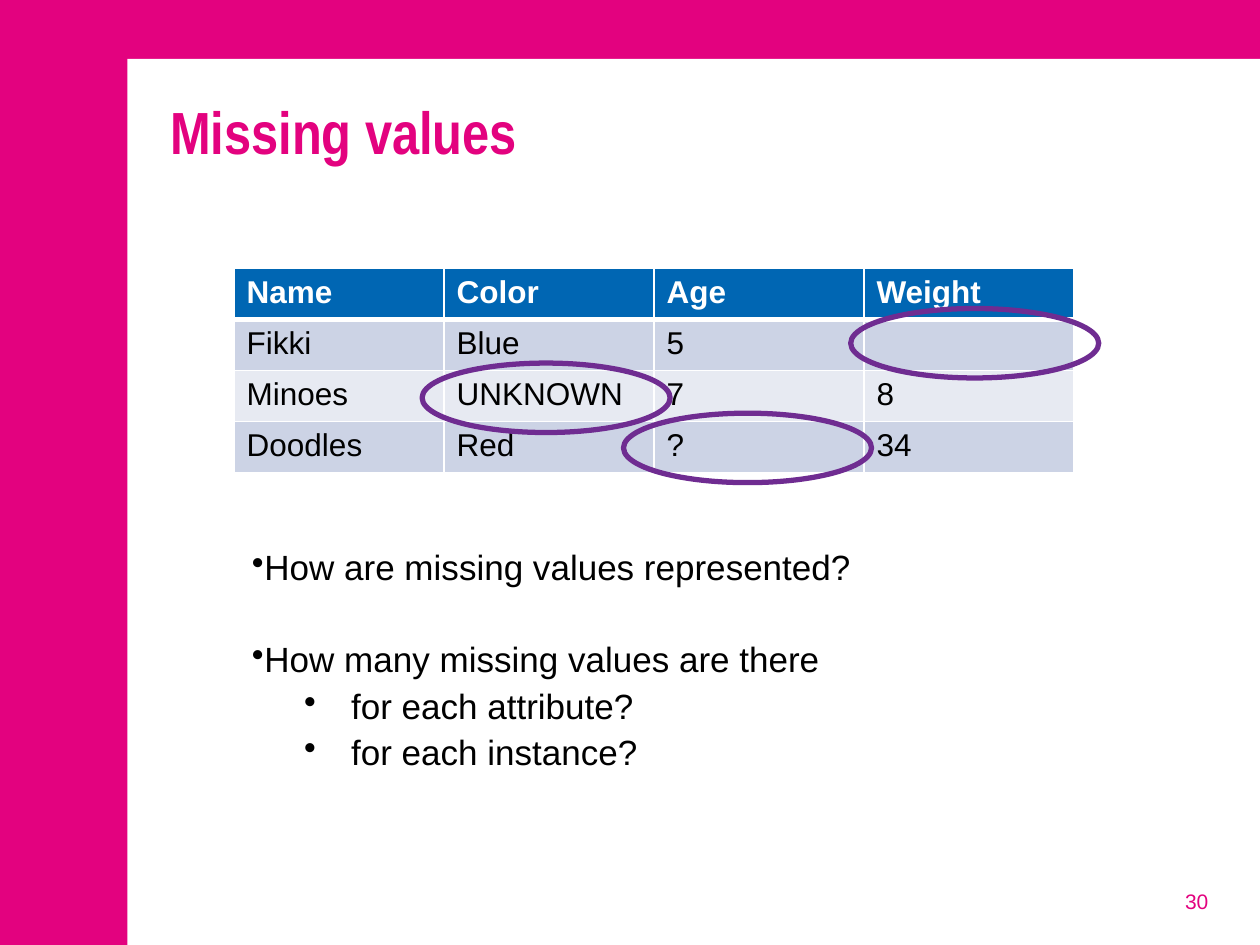
from dataclasses import dataclass

from lxml import etree
from pptx import Presentation
from pptx.dml.color import RGBColor
from pptx.enum import shapes, text
from pptx.oxml import ns
from pptx.util import Cm, Pt


@dataclass(frozen=True)
class Theme:
    pink: str = "E3027F"
    white: str = "FFFFFF"
    black: str = "000000"
    header: str = "0066B3"
    bands: tuple = ("CCD3E5", "E7EAF2")
    ring: str = "6F2C91"
    body_font: str = "Arial"
    title_font: str = "Arial Narrow"
    title_size: int = 34
    body_size: int = 20
    table_size: int = 18
    number_size: int = 12


theme = Theme()


def style(paragraph, size, color, name=theme.body_font, bold=False):
    font = paragraph.font
    font.size, font.name, font.bold = Pt(size), name, bold
    font.color.rgb = RGBColor.from_string(color)


def add_border(cell, side, width):
    properties = cell._tc.get_or_add_tcPr()
    line = etree.SubElement(properties, ns.qn(f"a:ln{side}"), w=str(Pt(width)))
    fill = etree.SubElement(line, ns.qn("a:solidFill"))
    etree.SubElement(fill, ns.qn("a:srgbClr"), val=theme.white)


prs = Presentation()
prs.slide_width, prs.slide_height = Cm(25.4), Cm(19.05)
slide = prs.slides.add_slide(prs.slide_layouts[5])
slide.background.fill.solid()
slide.background.fill.fore_color.rgb = RGBColor.from_string(theme.pink)

# White page, placed behind the title
page = slide.shapes.add_shape(
    shapes.MSO_SHAPE.RECTANGLE, Cm(2.57), Cm(1.19), Cm(22.83), Cm(17.86))
page.shadow.inherit = False
page.fill.solid()
page.fill.fore_color.rgb = RGBColor.from_string(theme.white)
page.line.fill.background()
title = slide.shapes.title
title._element.addprevious(page._element)

title.left, title.top, title.width, title.height = Cm(3.18), Cm(1.78), Cm(21.44), Cm(3.4)
title.text_frame.text = "Missing values"
title.text_frame.vertical_anchor = text.MSO_ANCHOR.TOP
title.text_frame.auto_size = text.MSO_AUTO_SIZE.NONE
heading = title.text_frame.paragraphs[0]
heading.alignment = text.PP_ALIGN.LEFT
style(heading, theme.title_size, theme.pink, theme.title_font, bold=True)

page_number = slide.shapes.add_textbox(Cm(18.69), Cm(17.65), Cm(5.92), Cm(1.02)).text_frame
page_number.word_wrap = True
page_number.vertical_anchor = text.MSO_ANCHOR.MIDDLE
page_number.text = "30"
page_number.paragraphs[0].alignment = text.PP_ALIGN.RIGHT
style(page_number.paragraphs[0], theme.number_size, theme.pink)

# Questions: wording, left margin (cm), hanging indent (cm), space before (pt)
questions = [
    ("How are missing values represented?", 0, 0, 0),
    ("How many missing values are there", 0, 0, 31),
    ("for each attribute?", 2, 0.95, 5),
    ("for each instance?", 2, 0.95, 5),
]
question_frame = slide.shapes.add_textbox(Cm(4.83), Cm(10.97), Cm(16.28), Cm(5.94)).text_frame
question_frame.word_wrap = True
for i, (question, margin, hanging, gap) in enumerate(questions):
    paragraph = question_frame.paragraphs[0] if i == 0 else question_frame.add_paragraph()
    paragraph.text = question
    properties = paragraph._p.get_or_add_pPr()
    properties.set("marL", str(Cm(margin)))
    properties.set("indent", str(-Cm(hanging)))
    etree.SubElement(properties, ns.qn("a:buChar"), char="•")
    paragraph.line_spacing = 0.9
    paragraph.space_before = Pt(gap)
    style(paragraph, theme.body_size, theme.black)

pets = [
    ("Name", "Color", "Age", "Weight"),
    ("Fikki", "Blue", "5", ""),
    ("Minoes", "UNKNOWN", "7", "8"),
    ("Doodles", "Red", "?", "34"),
]
pet_table = slide.shapes.add_table(
    len(pets), len(pets[0]), Cm(4.72), Cm(5.41), Cm(16.93), Cm(4.12)).table
for r, pet in enumerate(pets):
    is_header = r == 0
    for c, value in enumerate(pet):
        cell = pet_table.cell(r, c)
        cell.text = value
        style(cell.text_frame.paragraphs[0], theme.table_size,
              theme.white if is_header else theme.black, bold=is_header)
        for side in "LRTB":
            thick = (is_header and side == "B") or (r == 1 and side == "T")
            add_border(cell, side, 3 if thick else 1)
        cell.fill.solid()
        cell.fill.fore_color.rgb = RGBColor.from_string(
            theme.header if is_header else theme.bands[(r - 1) % 2])

# Rings around the missing values
for left, top in [(8.51, 7.32), (12.57, 8.33), (17.15, 6.22)]:
    ring = slide.shapes.add_shape(shapes.MSO_SHAPE.OVAL, Cm(left), Cm(top), Cm(5), Cm(1.4))
    ring.shadow.inherit = False
    ring.fill.background()
    ring.line.color.rgb = RGBColor.from_string(theme.ring)
    ring.line.width = Pt(3)

prs.save("out.pptx")
